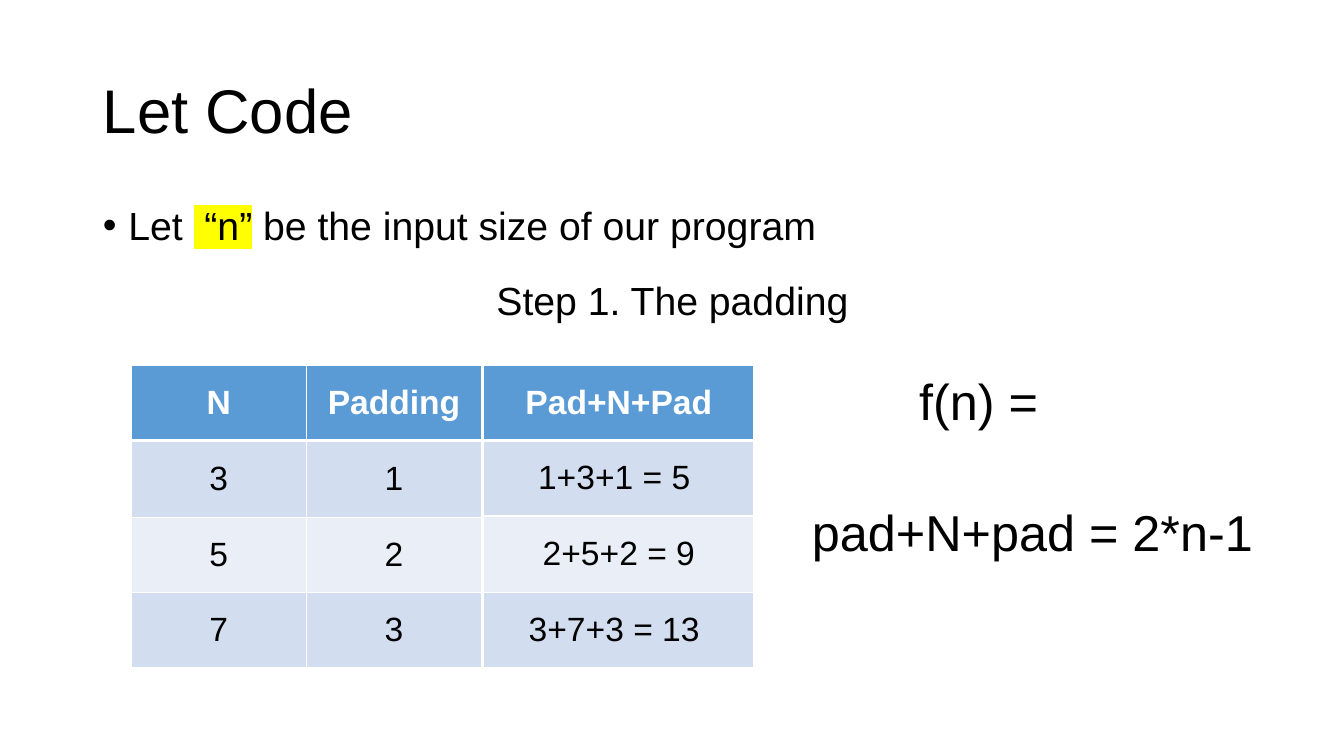
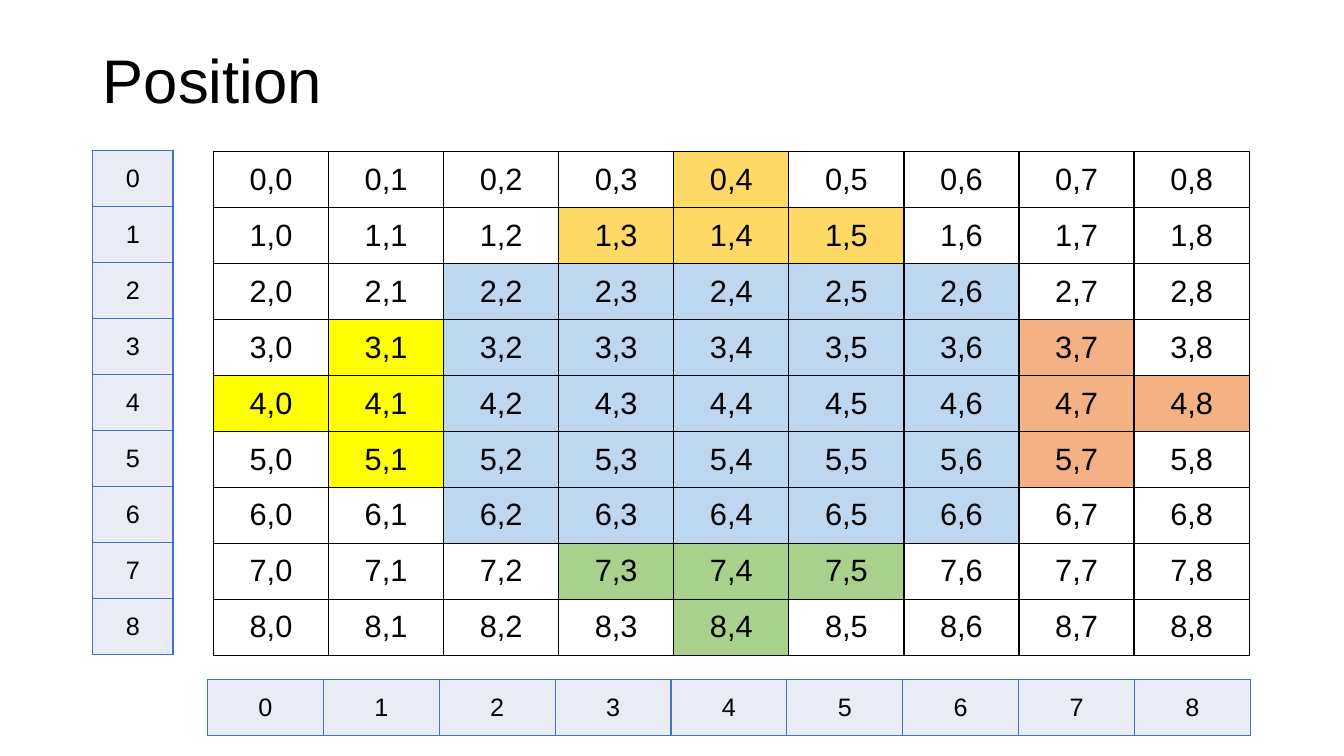
"""Build two slides on padding and cell positions in a diamond pattern."""
import lxml.etree
import pptx
import pptx.dml.color
import pptx.enum.text
import pptx.oxml.ns
import pptx.util

Cm = pptx.util.Cm
Pt = pptx.util.Pt
ALIGN = pptx.enum.text.PP_ALIGN
ANCHOR = pptx.enum.text.MSO_ANCHOR
COLORS = {
    "black": "000000", "white": "FFFFFF", "yellow": "FFFF00",
    "header": "5B9BD5", "band": "D2DEEF", "pale": "EAEFF7",
    "index": "E9EBF5", "index line": "4472C4",
    "top": "FFD966", "bottom": "A9D18E", "left": "FFFF00",
    "right": "F4B183", "center": "BDD7EE",
}
FONT = "Arial"
MARGIN, FULL_WIDTH = 2.34, 29.21

INTRO = [("Let ", None), (" “n”", "yellow"),
         (" be the input size of our program", None)]
STEP = "Step 1. The padding"
PADDING_TABLES = [
    {"left": 3.3, "widths": [4.42, 4.42], "heights": [1.9, 1.93, 1.9, 1.88],
     "rows": [["N", "Padding"], ["3", "1"], ["5", "2"], ["7", "3"]]},
    {"left": 12.19, "widths": [6.81], "heights": [1.9, 1.9, 1.93, 1.88],
     "rows": [["Pad+N+Pad"], ["1+3+1 = 5 "], ["2+5+2 = 9"], ["3+7+3 = 13 "]]},
]
FORMULAS = [(" f(n) =", (22.56, 9.2, 6.93, 1.9)),
            (" pad+N+pad = 2*n-1", (19.86, 12.5, 12.88, 1.78))]

SIZE = 9
MIDDLE, LAST, EDGE = SIZE // 2, SIZE - 1, 2
ROW_HEIGHT = 1.41
INDEXES = [str(number) for number in range(SIZE)]
POSITIONS = [[f"{row},{column}" for column in range(SIZE)] for row in range(SIZE)]


def rgb(name):
    return pptx.dml.color.RGBColor.from_string(COLORS[name])


def apply(target, **values):
    for name, value in values.items():
        setattr(target, name, value)


def place(shape, left, top, width, height):
    apply(shape, left=Cm(left), top=Cm(top), width=Cm(width), height=Cm(height))


def add_solid_color(parent, tag, color):
    holder = lxml.etree.SubElement(parent, pptx.oxml.ns.qn(tag))
    lxml.etree.SubElement(holder, pptx.oxml.ns.qn("a:srgbClr"), val=COLORS[color])
    return holder


def write(para, text, size, color="black", bold=False, highlight=None):
    span = para.add_run()
    span.text = text
    apply(span.font, name=FONT, size=Pt(size), bold=bold)
    span.font.color.rgb = rgb(color)
    if highlight:
        properties = span._r.get_or_add_rPr()
        marker = add_solid_color(properties, "a:highlight", highlight)
        properties.find(pptx.oxml.ns.qn("a:solidFill")).addnext(marker)


def first_paragraph(box, anchor=ANCHOR.TOP, **values):
    apply(box.text_frame, word_wrap=True, vertical_anchor=anchor,
          auto_size=pptx.enum.text.MSO_AUTO_SIZE.NONE)
    para = box.text_frame.paragraphs[0]
    apply(para, **values)
    return para


def add_page(deck, layout, title, title_height):
    page = deck.slides.add_slide(deck.slide_layouts[layout])
    place(page.shapes.title, MARGIN, 1.02, FULL_WIDTH, title_height)
    para = first_paragraph(page.shapes.title, ANCHOR.MIDDLE,
                           alignment=ALIGN.LEFT, line_spacing=0.9)
    write(para, title, 44)
    return page


def set_borders(cell, color, widths):
    properties = cell._tc.get_or_add_tcPr()
    for position, side in enumerate("LRTB"):
        line = lxml.etree.SubElement(properties, pptx.oxml.ns.qn(f"a:ln{side}"),
                                     w=str(Pt(widths.get(side, 1))))
        add_solid_color(line, "a:solidFill", color)
        properties.insert(position, line)


def add_grid(page, left, top, widths, heights, rows, line, style):
    """Add a table whose style function gives fill, text format and borders."""
    frame = page.shapes.add_table(len(rows), len(widths), Cm(left), Cm(top),
                                  Cm(sum(widths)), Cm(sum(heights)))
    table = frame.table
    apply(table, first_row=False, horz_banding=False)
    for column, width in zip(table.columns, widths):
        column.width = Cm(width)
    for row, height in zip(table.rows, heights):
        row.height = Cm(height)
    for row, texts in enumerate(rows):
        for column, text in enumerate(texts):
            cell = table.cell(row, column)
            fill, text_format, borders = style(row, column)
            cell.fill.solid()
            cell.fill.fore_color.rgb = rgb(fill)
            cell.vertical_anchor = ANCHOR.MIDDLE
            para = cell.text_frame.paragraphs[0]
            para.alignment = ALIGN.CENTER
            write(para, text, **text_format)
            set_borders(cell, line, borders)


def padding_style(row, column):
    if row == 0:
        return "header", {"size": 24, "color": "white", "bold": True}, {"B": 3}
    return "band" if row % 2 else "pale", {"size": 24}, {"T": 3} if row == 1 else {}


def index_style(row, column):
    return "index", {"size": 18}, {}


def region(row, column):
    if EDGE <= row <= LAST - EDGE and EDGE <= column <= LAST - EDGE:
        return "center"
    if abs(row - MIDDLE) + abs(column - MIDDLE) > MIDDLE:
        return "white"
    if row < EDGE:
        return "top"
    if row > LAST - EDGE:
        return "bottom"
    return "left" if column < EDGE else "right"


def position_style(row, column):
    return region(row, column), {"size": 22}, {}


def add_padding_page(deck):
    page = add_page(deck, 1, "Let Code", 3.68)
    body = page.placeholders[1]
    place(body, MARGIN, 5.08, FULL_WIDTH, 1.52)
    para = first_paragraph(body, line_spacing=0.9, space_before=Pt(10))
    indent = Cm(0.64)
    properties = para._p.get_or_add_pPr()
    properties.set("marL", str(indent))
    properties.set("indent", str(-indent))
    for text, highlight in INTRO:
        write(para, text, 28, highlight=highlight)

    step = page.shapes.add_textbox(0, 0, 0, 0)
    place(step, MARGIN, 6.96, FULL_WIDTH, 1.52)
    para = first_paragraph(step, alignment=ALIGN.CENTER, line_spacing=0.9,
                           space_before=Pt(10))
    write(para, STEP, 28)
    for table in PADDING_TABLES:
        add_grid(page, top=9.2, line="white", style=padding_style, **table)
    for text, area in FORMULAS:
        formula = page.shapes.add_textbox(0, 0, 0, 0)
        place(formula, *area)
        write(first_paragraph(formula), text, 36)


def add_position_page(deck):
    page = add_page(deck, 5, "Position", 2.18)
    heights = [ROW_HEIGHT] * SIZE
    add_grid(page, MARGIN, 3.8, [2.02], heights, [[index] for index in INDEXES],
             "index line", index_style)
    add_grid(page, 5.23, 17.12, [2.92] * SIZE, [ROW_HEIGHT], [INDEXES],
             "index line", index_style)
    add_grid(page, 5.38, 3.82, [2.9] * SIZE, heights, POSITIONS,
             "black", position_style)


def main():
    deck = pptx.Presentation()
    apply(deck, slide_width=Cm(33.87), slide_height=Cm(19.05))
    add_padding_page(deck)
    add_position_page(deck)
    deck.save("out.pptx")


if __name__ == "__main__":
    main()
